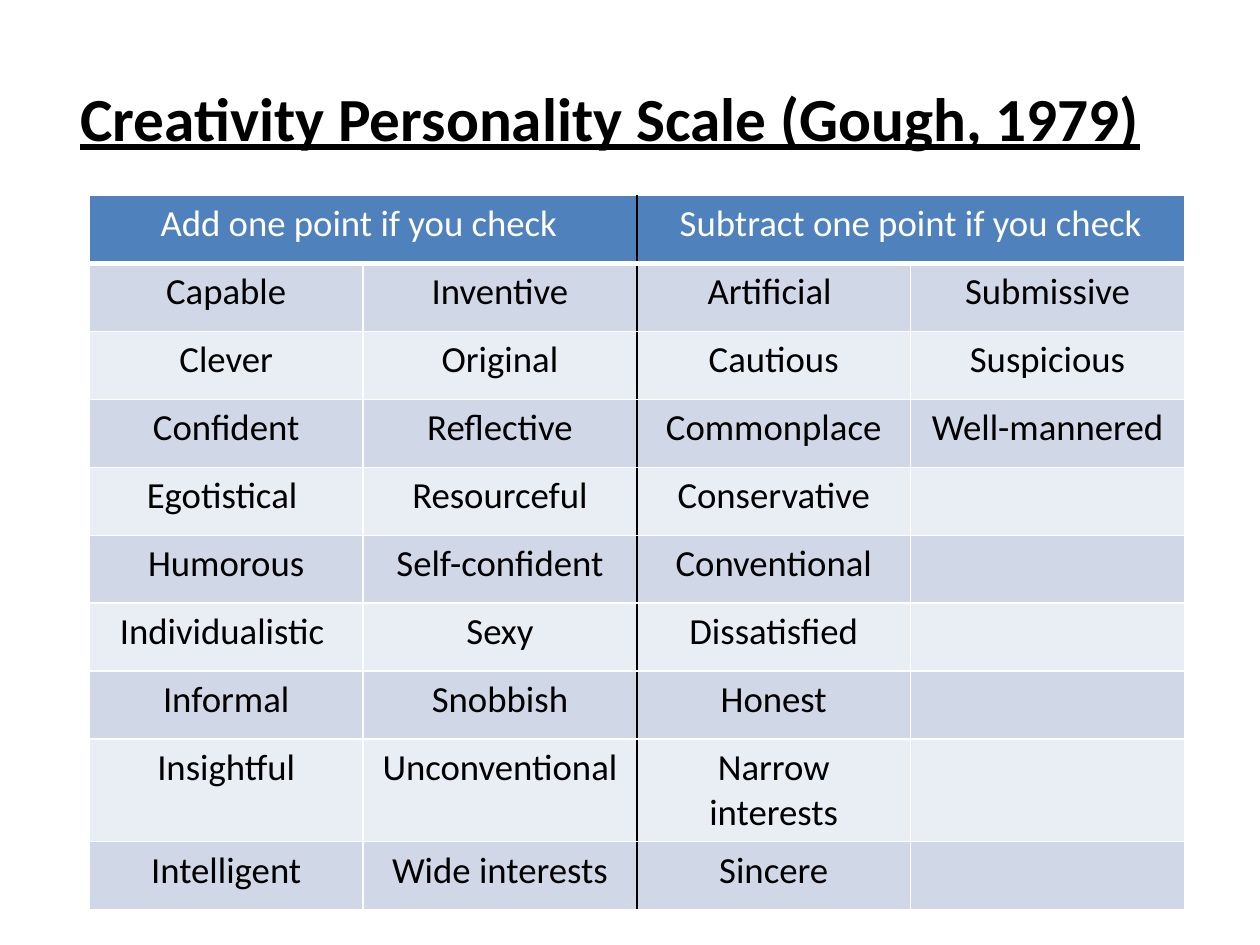
from dataclasses import dataclass

from pptx import Presentation
from pptx.dml.color import RGBColor
from pptx.enum.text import MSO_ANCHOR, MSO_AUTO_SIZE, PP_ALIGN
from pptx.oxml.ns import qn
from pptx.util import Cm, Pt
from lxml.etree import SubElement

BLACK = RGBColor(0x00, 0x00, 0x00)
WHITE = RGBColor(0xFF, 0xFF, 0xFF)
HEADER_BLUE = RGBColor(0x4F, 0x81, 0xBD)
BANDS = (RGBColor(0xD0, 0xD8, 0xE8), RGBColor(0xE9, 0xED, 0xF4))

COLUMN_WIDTH, ROW_HEIGHT = Cm(5.52), Cm(1.37)
TITLE_FONT = {"name": "Calibri", "size": Pt(35), "bold": True, "underline": True}
CELL_FONT = {"name": "Calibri", "size": Pt(21), "bold": False}


@dataclass
class AdjectiveGroup:
    heading: str
    columns: tuple[list[str], list[str]]


GROUPS = [
    AdjectiveGroup("Add one point if you check ", (
        ["Capable", "Clever", "Confident", "Egotistical ", "Humorous",
         "Individualistic ", "Informal", "Insightful", "Intelligent"],
        ["Inventive", "Original", "Reflective", "Resourceful", "Self-confident",
         "Sexy", "Snobbish", "Unconventional", "Wide interests"])),
    AdjectiveGroup("Subtract one point if you check", (
        ["Artificial ", "Cautious", "Commonplace", "Conservative", "Conventional",
         "Dissatisfied", "Honest", "Narrow interests", "Sincere"],
        ["Submissive", "Suspicious", "Well-mannered"])),
]
ADJECTIVE_COLUMNS = [column for group in GROUPS for column in group.columns]
ROW_COUNT = 1 + max(len(column) for column in ADJECTIVE_COLUMNS)


def write(frame, text: str, color: RGBColor, font_format: dict) -> None:
    """Put one centred, formatted line of text in a frame."""
    paragraph = frame.paragraphs[0]
    paragraph.alignment = PP_ALIGN.CENTER
    if not text:
        return
    run = paragraph.add_run()
    run.text = text
    run.font.color.rgb = color
    for attribute, value in font_format.items():
        setattr(run.font, attribute, value)


def add_border(cell, side: str, color: RGBColor, width: float) -> None:
    """Add one cell border; call in the order L, R, T, B, before the fill."""
    properties = cell._tc.get_or_add_tcPr()
    line = SubElement(properties, qn(f"a:ln{side}"), w=str(Pt(width)))
    fill = SubElement(line, qn("a:solidFill"))
    SubElement(fill, qn("a:srgbClr"), val=str(color))


def style_cell(cell, row: int, first_column: int, last_column: int) -> None:
    """Fill and border a cell, with a black divider between the two groups."""
    add_border(cell, "L", BLACK if first_column == 2 else WHITE, 1)
    add_border(cell, "R", BLACK if last_column == 1 else WHITE, 1)
    add_border(cell, "T", WHITE, 1)
    add_border(cell, "B", WHITE, 1 if row else 3)
    cell.fill.solid()
    cell.fill.fore_color.rgb = BANDS[(row - 1) % 2] if row else HEADER_BLUE


def add_title(slide) -> None:
    title = slide.shapes.title
    title.left, title.top, title.width, title.height = (
        Cm(1.27), Cm(0.76), Cm(22.07), Cm(3.18))
    frame = title.text_frame
    frame.auto_size = MSO_AUTO_SIZE.NONE
    frame.vertical_anchor = MSO_ANCHOR.MIDDLE
    write(frame, "Creativity Personality Scale (Gough, 1979)", BLACK, TITLE_FONT)


def add_scale_table(slide) -> None:
    column_count = len(ADJECTIVE_COLUMNS)
    scale = slide.shapes.add_table(
        ROW_COUNT, column_count, Cm(1.8), Cm(3.94),
        COLUMN_WIDTH * column_count, ROW_HEIGHT * ROW_COUNT).table

    # Group headings, each over two columns
    for index, group in enumerate(GROUPS):
        first = 2 * index
        heading = scale.cell(0, first)
        heading.merge(scale.cell(0, first + 1))
        write(heading.text_frame, group.heading, WHITE, CELL_FONT)
        for column in (first, first + 1):
            style_cell(scale.cell(0, column), 0, first, first + 1)

    # Adjectives in banded rows
    for column, adjectives in enumerate(ADJECTIVE_COLUMNS):
        for row in range(1, ROW_COUNT):
            cell = scale.cell(row, column)
            adjective = adjectives[row - 1] if row <= len(adjectives) else ""
            write(cell.text_frame, adjective, BLACK, CELL_FONT)
            style_cell(cell, row, column, column)


def main() -> None:
    presentation = Presentation()
    presentation.slide_width, presentation.slide_height = Cm(25.4), Cm(19.05)
    slide = presentation.slides.add_slide(presentation.slide_layouts[5])
    add_title(slide)
    add_scale_table(slide)
    presentation.save("out.pptx")


if __name__ == "__main__":
    main()
